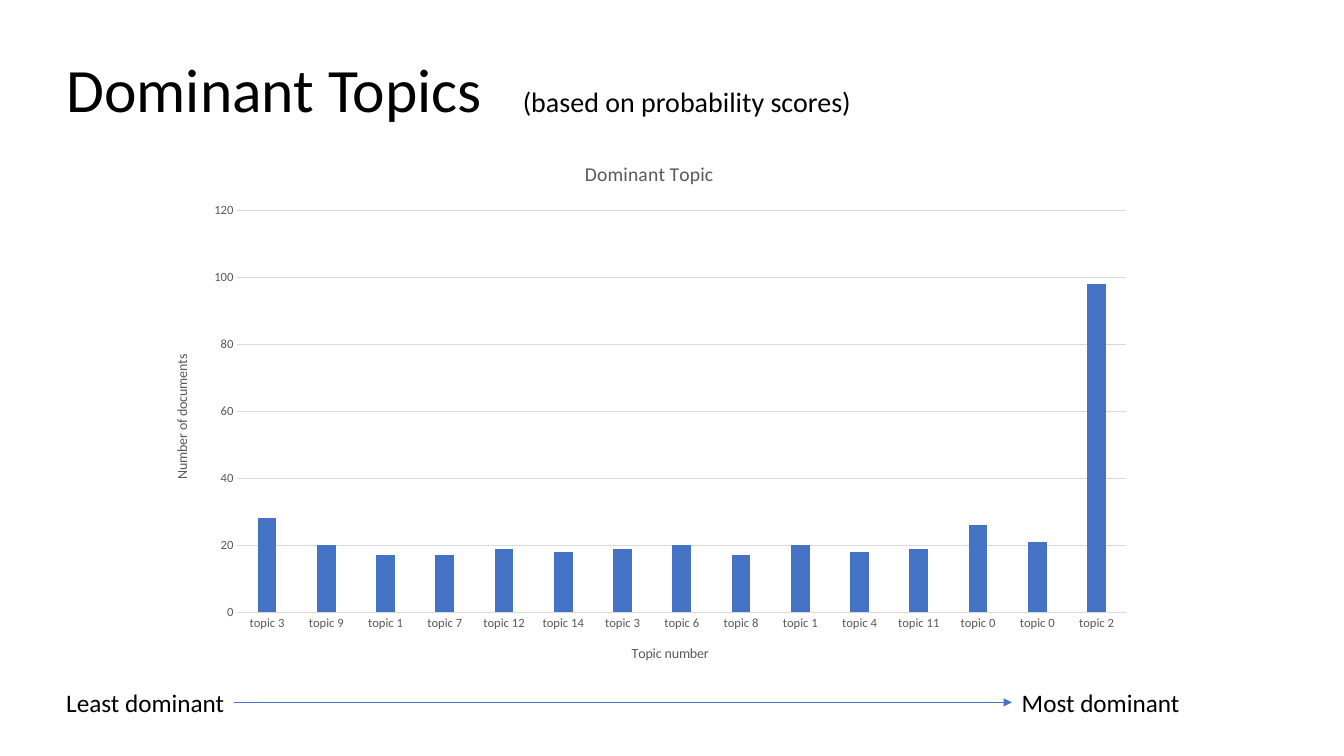
from lxml.etree import SubElement
from pptx import Presentation
from pptx.chart.data import CategoryChartData
from pptx.dml.color import RGBColor
from pptx.enum.chart import XL_CHART_TYPE, XL_TICK_MARK
from pptx.enum.shapes import MSO_CONNECTOR
from pptx.enum.text import MSO_ANCHOR, MSO_AUTO_SIZE, PP_ALIGN
from pptx.oxml.ns import qn
from pptx.util import Cm, Pt

FONT = "Calibri"
BLACK = "000000"
GREY = "595959"
LIGHT_GREY = "D9D9D9"
BLUE = "4472C4"
LEFT_MARGIN = Cm(1.42)
TOPICS = [3, 9, 1, 7, 12, 14, 3, 6, 8, 1, 4, 11, 0, 0, 2]
DOCUMENTS = [28, 20, 17, 17, 19, 18, 19, 20, 17, 20, 18, 19, 26, 21, 98]


def color(hex_string):
    """Turn a hex string into a colour."""
    return RGBColor.from_string(hex_string)


def format_font(font, size, hex_string):
    """Set the face, size and colour of a font."""
    font.name = FONT
    font.size = Pt(size)
    font.bold = False
    font.color.rgb = color(hex_string)


def format_line(line, hex_string, width):
    """Set the colour and width of a line."""
    line.color.rgb = color(hex_string)
    line.width = Pt(width)


def add_title(slide, heading, remark):
    """Fill the title with a heading and a smaller remark at a tab stop."""
    title = slide.shapes.title
    title.left, title.top = LEFT_MARGIN, Cm(0.48)
    title.width, title.height = Cm(29.21), Cm(3.68)
    text_frame = title.text_frame
    text_frame.auto_size = MSO_AUTO_SIZE.NONE
    text_frame.vertical_anchor = MSO_ANCHOR.MIDDLE
    paragraph = text_frame.paragraphs[0]
    paragraph.alignment = PP_ALIGN.LEFT
    paragraph.line_spacing = 0.9
    properties = paragraph._p.get_or_add_pPr()
    tab_stops = SubElement(properties, qn("a:tabLst"))
    SubElement(tab_stops, qn("a:tab"), pos=str(Cm(11.5)), algn="l")
    for text, size in ((heading + "\t", 44), (remark, 20)):
        run = paragraph.add_run()
        run.text = text
        format_font(run.font, size, BLACK)


def add_label(slide, text, left):
    """Add a label at one end of the dominance scale."""
    label = slide.shapes.add_textbox(left, Cm(17.2), Cm(4.95), Cm(1.02))
    text_frame = label.text_frame
    text_frame.word_wrap = True
    text_frame.text = text
    format_font(text_frame.paragraphs[0].runs[0].font, 18, BLACK)


def add_arrow(slide, start, end, height):
    """Add a horizontal arrow."""
    arrow = slide.shapes.add_connector(
        MSO_CONNECTOR.STRAIGHT, start, height, end, height)
    format_line(arrow.line, BLUE, 0.5)
    SubElement(arrow.line._get_or_add_ln(), qn("a:tailEnd"), type="triangle")
    SubElement(arrow._element.spPr, qn("a:effectLst"))


def set_chart_title(owner, text, size):
    """Give a chart or an axis its title."""
    owner.has_title = True
    title = owner.chart_title if hasattr(owner, "chart_title") else owner.axis_title
    title.text_frame.text = text
    format_font(title.text_frame.paragraphs[0].runs[0].font, size, GREY)


def format_axis(axis, title):
    """Set the title, labels and tick marks of an axis."""
    set_chart_title(axis, title, 10)
    axis.major_tick_mark = XL_TICK_MARK.NONE
    axis.minor_tick_mark = XL_TICK_MARK.NONE
    format_font(axis.tick_labels.font, 9, GREY)


def add_topic_chart(slide):
    """Add the column chart of documents per dominant topic."""
    data = CategoryChartData()
    data.categories = [f"topic {number}" for number in TOPICS]
    data.add_series("Series 1", DOCUMENTS)
    chart = slide.shapes.add_chart(
        XL_CHART_TYPE.COLUMN_CLUSTERED,
        Cm(3.84), Cm(3.53), Cm(25.04), Cm(13.67), data).chart
    format_font(chart.font, 10, BLACK)
    chart.has_legend = False
    set_chart_title(chart, "Dominant Topic", 14)
    chart.chart_title.include_in_layout = False

    plot = chart.plots[0]
    plot.gap_width, plot.overlap = 219, -27
    plot.vary_by_categories = False
    series = plot.series[0]
    series.format.fill.solid()
    series.format.fill.fore_color.rgb = color(BLUE)

    format_axis(chart.category_axis, "Topic number")
    format_line(chart.category_axis.format.line, LIGHT_GREY, 0.75)
    value_axis = chart.value_axis
    format_axis(value_axis, "Number of documents")
    value_axis.minimum_scale, value_axis.maximum_scale = 0, 120
    value_axis.major_unit = 20
    value_axis.format.line.fill.background()
    format_line(value_axis.major_gridlines.format.line, LIGHT_GREY, 0.75)


def main():
    """Build the slide and save it."""
    presentation = Presentation()
    presentation.slide_width, presentation.slide_height = Cm(33.87), Cm(19.05)
    slide = presentation.slides.add_slide(presentation.slide_layouts[5])
    add_title(slide, "Dominant Topics", "(based on probability scores)")
    add_topic_chart(slide)
    scale_end = Cm(25.5)
    add_label(slide, "Least dominant", LEFT_MARGIN)
    add_label(slide, "Most dominant", scale_end)
    add_arrow(slide, Cm(5.9), scale_end, Cm(17.7))
    presentation.save("out.pptx")


main()
